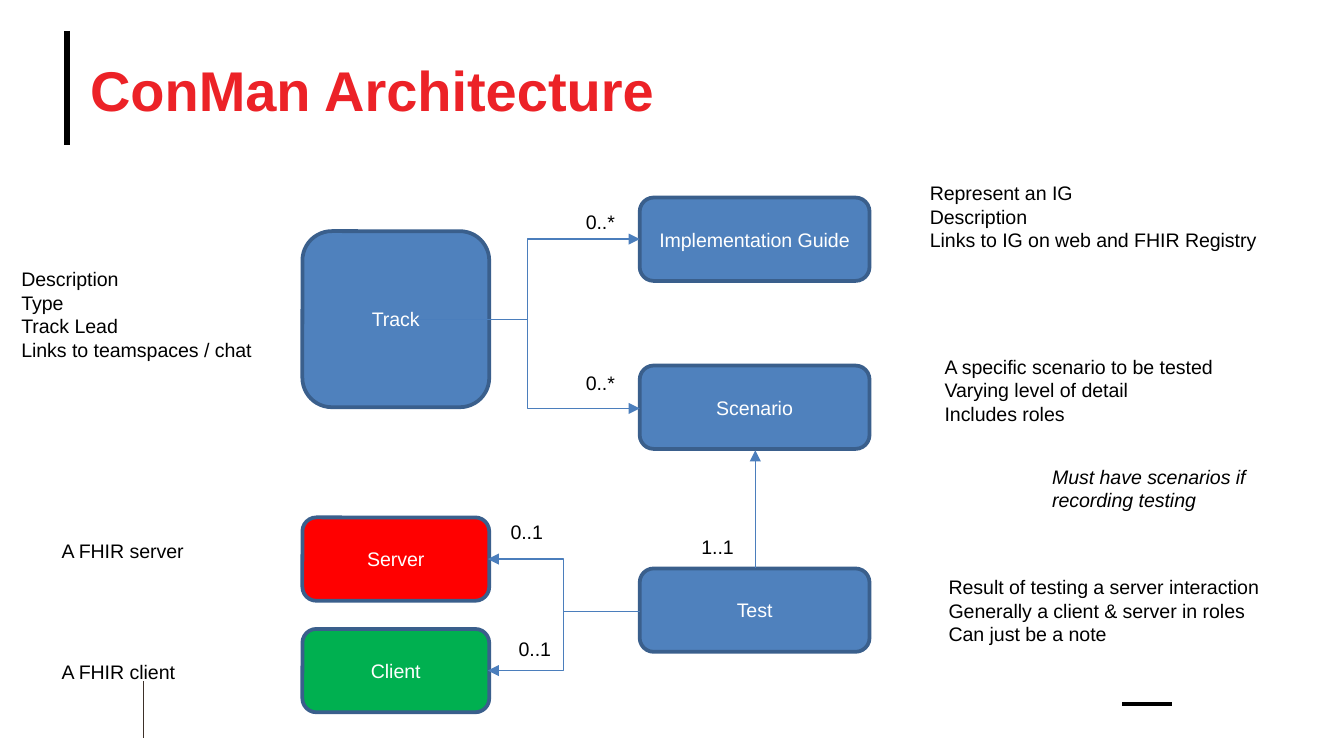
from typing import NamedTuple

import pptx
import pptx.dml.color
import pptx.enum.shapes
import pptx.enum.text
import pptx.oxml
import pptx.oxml.ns
import pptx.util

Inches = pptx.util.Inches
Pt = pptx.util.Pt
RGBColor = pptx.dml.color.RGBColor
Align = pptx.enum.text.PP_ALIGN
Anchor = pptx.enum.text.MSO_ANCHOR
AutoSize = pptx.enum.text.MSO_AUTO_SIZE
Connector = pptx.enum.shapes.MSO_CONNECTOR
Shape = pptx.enum.shapes.MSO_SHAPE

BLACK = RGBColor(0x00, 0x00, 0x00)
WHITE = RGBColor(0xFF, 0xFF, 0xFF)
BROWN = RGBColor(0x3D, 0x30, 0x29)
TITLE_RED = RGBColor(0xEC, 0x22, 0x27)
BLUE = RGBColor(0x4F, 0x81, 0xBD)
OUTLINE = RGBColor(0x3A, 0x5F, 0x8C)
ARROW_BLUE = RGBColor(0x4B, 0x7E, 0xBC)
RED = RGBColor(0xFF, 0x00, 0x00)
GREEN = RGBColor(0x00, 0xB0, 0x50)

FONT = "Arial"
BODY_SIZE = 10.5
PAGE_WIDTH = 10
PAGE_HEIGHT = PAGE_WIDTH * 9 / 16
LEFT_COLUMN, LEFT_WIDTH = 2.25, 1.39
RIGHT_COLUMN, RIGHT_WIDTH = 4.76, 1.71
ENTITY_HEIGHT = 0.62


class Entity(NamedTuple):
    name: str
    left: float
    top: float
    width: float
    height: float = ENTITY_HEIGHT
    fill: RGBColor = BLUE


class Link(NamedTuple):
    start: tuple[float, float]
    end: tuple[float, float]
    kind: Connector = Connector.ELBOW
    color: RGBColor = ARROW_BLUE
    weight: float = 0.75
    arrow: bool = True


class Note(NamedTuple):
    lines: list[str]
    left: float
    top: float
    width: float
    height: float = 0.28
    wrap: bool = False
    italic: bool = False


RULES = [
    Link((0.5, 0.23), (0.5, 1.08), Connector.STRAIGHT, BLACK, 3.25, False),
    Link((1.07, 5.07), (1.07, 5.49), Connector.STRAIGHT, BROWN, 0.75, False),
    Link((8.35, 5.24), (8.72, 5.24), Connector.STRAIGHT, BLACK, 2, False),
]

ENTITIES = [
    Entity("Track", LEFT_COLUMN, 1.72, LEFT_WIDTH, 1.31),
    Entity("Implementation Guide", RIGHT_COLUMN, 1.47, RIGHT_WIDTH),
    Entity("Scenario", RIGHT_COLUMN, 2.72, RIGHT_WIDTH),
    Entity("Test", RIGHT_COLUMN, 4.23, RIGHT_WIDTH),
    Entity("Server", LEFT_COLUMN, 3.85, LEFT_WIDTH, fill=RED),
    Entity("Client", LEFT_COLUMN, 4.68, LEFT_WIDTH, fill=GREEN),
]

TRACK_EXIT = (3.09, 2.38)
TEST_EXIT = (RIGHT_COLUMN, 4.55)
LINKS = [
    Link(TRACK_EXIT, (RIGHT_COLUMN, 1.78)),
    Link(TRACK_EXIT, (RIGHT_COLUMN, 3.04)),
    Link(TEST_EXIT, (3.63, 4.16)),
    Link(TEST_EXIT, (3.63, 4.99)),
    Link((5.62, 4.23), (5.62, 3.35), Connector.STRAIGHT),
]

NOTES = [
    Note(["0..*"], 4.26, 1.51, 0.42),
    Note(["0..*"], 4.26, 2.71, 0.42),
    Note(["1..1"], 5.12, 3.93, 0.45),
    Note(["0..1"], 3.7, 3.82, 0.45),
    Note(["0..1"], 3.76, 4.69, 0.45),
    Note(["Description", "Type", "Track Lead", "Links to teamspaces / chat"],
         0.06, 1.94, 2.25, 0.81, wrap=True),
    Note(["A FHIR server"], 0.36, 3.96, 1.13),
    Note(["A FHIR client"], 0.36, 4.86, 1.07),
    Note(["Represent an IG", "Description", "Links to IG on web and FHIR Registry"],
         6.82, 1.3, 2.68, 0.63),
    Note(["A specific scenario to be tested", "Varying level of detail", "Includes roles"],
         6.93, 2.59, 2.24, 0.63),
    Note(["Must have scenarios if recording testing"],
         7.73, 3.41, 1.89, 0.45, wrap=True, italic=True),
    Note(["Result of testing a server interaction",
          "Generally a client & server in roles", "Can just be a note"],
         6.96, 4.23, 2.55, 0.63),
]


def format_text(frame, size: float, color: RGBColor, align=Align.LEFT,
                bold: bool = False, italic: bool = False) -> None:
    for para in frame.paragraphs:
        para.alignment = align
        for span in para.runs:
            span.font.name = FONT
            span.font.size = Pt(size)
            span.font.bold = bold
            span.font.italic = italic
            span.font.color.rgb = color


def add_title(page, text: str) -> None:
    title = page.shapes.title
    title.left, title.top = Inches(0.67), Inches(0.23)
    title.width, title.height = Inches(9), Inches(0.86)
    frame = title.text_frame
    frame.text = text
    frame.auto_size = AutoSize.NONE
    frame.vertical_anchor = Anchor.MIDDLE
    frame.margin_left = frame.margin_right = 0
    frame.margin_top = frame.margin_bottom = 0
    format_text(frame, 30, TITLE_RED, bold=True)


def add_entity(page, entity: Entity) -> None:
    box = page.shapes.add_shape(
        Shape.ROUNDED_RECTANGLE, Inches(entity.left), Inches(entity.top),
        Inches(entity.width), Inches(entity.height))
    box.shadow.inherit = False
    box.fill.solid()
    box.fill.fore_color.rgb = entity.fill
    box.line.color.rgb = OUTLINE
    box.line.width = Pt(2)
    box.text_frame.text = entity.name
    box.text_frame.vertical_anchor = Anchor.MIDDLE
    format_text(box.text_frame, BODY_SIZE, WHITE, Align.CENTER)


def add_link(page, link: Link) -> None:
    line = page.shapes.add_connector(
        link.kind, *(Inches(value) for value in link.start + link.end))
    line.line.color.rgb = link.color
    line.line.width = Pt(link.weight)
    properties = line._element.spPr
    if link.arrow:
        tail = pptx.oxml.parse_xml(
            f'<a:tailEnd {pptx.oxml.ns.nsdecls("a")} type="triangle"/>')
        line.line._get_or_add_ln().append(tail)
    properties.append(pptx.oxml.parse_xml(
        f'<a:effectLst {pptx.oxml.ns.nsdecls("a")}/>'))


def add_note(page, note: Note) -> None:
    box = page.shapes.add_textbox(
        Inches(note.left), Inches(note.top), Inches(note.width), Inches(note.height))
    frame = box.text_frame
    frame.text = "\n".join(note.lines)
    frame.word_wrap = note.wrap
    frame.auto_size = AutoSize.SHAPE_TO_FIT_TEXT
    format_text(frame, BODY_SIZE, BLACK, italic=note.italic)


def main() -> None:
    deck = pptx.Presentation()
    deck.slide_width, deck.slide_height = Inches(PAGE_WIDTH), Inches(PAGE_HEIGHT)
    page = deck.slides.add_slide(deck.slide_layouts.get_by_name("Title Only"))
    add_title(page, "ConMan Architecture")
    for rule in RULES:
        add_link(page, rule)
    for entity in ENTITIES:
        add_entity(page, entity)
    for link in LINKS:
        add_link(page, link)
    for note in NOTES:
        add_note(page, note)
    deck.save("out.pptx")


if __name__ == "__main__":
    main()
